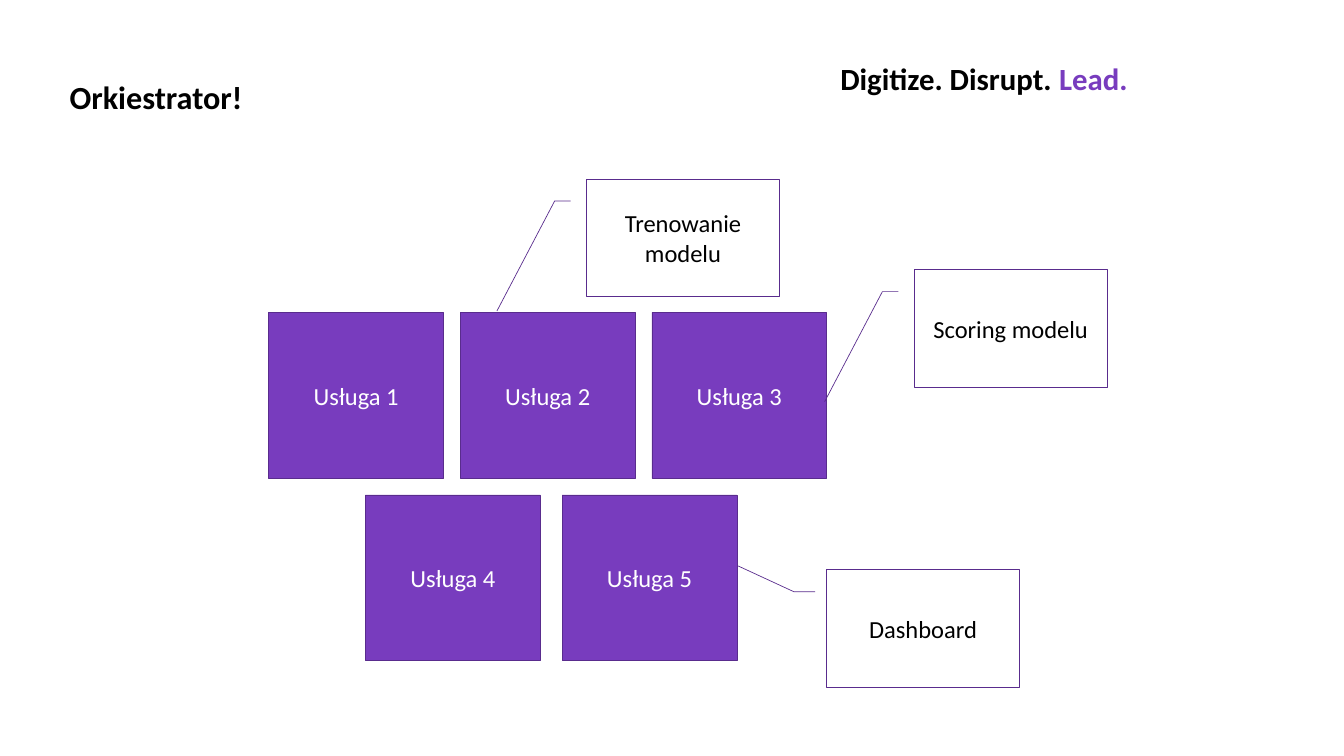
from pptx import Presentation
from pptx.dml.color import RGBColor
from pptx.enum import shapes, text
from pptx.util import Pt

PURPLE = RGBColor(0x78, 0x3C, 0xBE)
DARK_PURPLE = RGBColor(0x59, 0x2C, 0x8D)
BLACK = RGBColor(0, 0, 0)
WHITE = RGBColor(0xFF, 0xFF, 0xFF)


def add_run(paragraph, wording, size, color, bold=False):
    run = paragraph.add_run()
    run.text = wording
    run.font.name = "Calibri"
    run.font.size = Pt(size)
    run.font.bold = bold
    run.font.color.rgb = color


def add_box(slide, kind, left, top, width, height, fill, label, color):
    """Add an outlined shape with a centred label."""
    shape = slide.shapes.add_shape(kind, Pt(left), Pt(top), Pt(width), Pt(height))
    shape.shadow.inherit = False
    shape.fill.solid()
    shape.fill.fore_color.rgb = fill
    shape.line.color.rgb = DARK_PURPLE
    shape.line.width = Pt(1)
    frame = shape.text_frame
    frame.word_wrap = True
    frame.vertical_anchor = text.MSO_ANCHOR.MIDDLE
    paragraph = frame.paragraphs[0]
    paragraph.alignment = text.PP_ALIGN.CENTER
    add_run(paragraph, label, 35, color)
    return shape


presentation = Presentation()
presentation.slide_width = Pt(1919.52)
presentation.slide_height = Pt(1080)
slide = presentation.slides.add_slide(presentation.slide_layouts[6])

# Tagline and title
tagline = slide.shapes.add_textbox(Pt(1193), Pt(81.4), Pt(494), Pt(60.5))
tagline.text_frame.word_wrap = False
tagline.text_frame.auto_size = text.MSO_AUTO_SIZE.SHAPE_TO_FIT_TEXT
paragraph = tagline.text_frame.paragraphs[0]
add_run(paragraph, "Digitize. Disrupt. ", 44, BLACK, bold=True)
add_run(paragraph, "Lead.", 44, PURPLE, bold=True)

title = slide.shapes.add_textbox(Pt(99.4), Pt(90.7), Pt(1014.5), Pt(72))
frame = title.text_frame
frame.word_wrap = True
frame.margin_left = frame.margin_top = frame.margin_right = frame.margin_bottom = 0
paragraph = frame.paragraphs[0]
paragraph.line_spacing = Pt(75)
add_run(paragraph, "Orkiestrator!", 46, BLACK, bold=True)

# Services in two rows: left, top, pitch, numbers
service_rows = [
    (383.8, 446.4, 273.6, (1, 2, 3)),
    (522, 707, 280.8, (4, 5)),
]
for left, top, pitch, numbers in service_rows:
    for column, number in enumerate(numbers):
        add_box(slide, shapes.MSO_SHAPE.RECTANGLE, left + column * pitch, top,
                249.8, 236.9, PURPLE, f"Usługa {number}", WHITE)

# Callouts: label, left, top, leader line adjustments (None keeps the preset)
callouts = [
    ("Scoring modelu", 1306, 385.2, None),
    ("Trenowanie modelu", 838, 255.6, None),
    ("Dashboard", 1180.8, 813.6, (0.19, -0.06, 0.19, -0.17, -0.03, -0.46)),
]
for label, left, top, leader in callouts:
    callout = add_box(slide, shapes.MSO_SHAPE.LINE_CALLOUT_2, left, top,
                      275, 167.8, WHITE, label, BLACK)
    for index, value in enumerate(leader or ()):
        callout.adjustments[index] = value

presentation.save("out.pptx")
